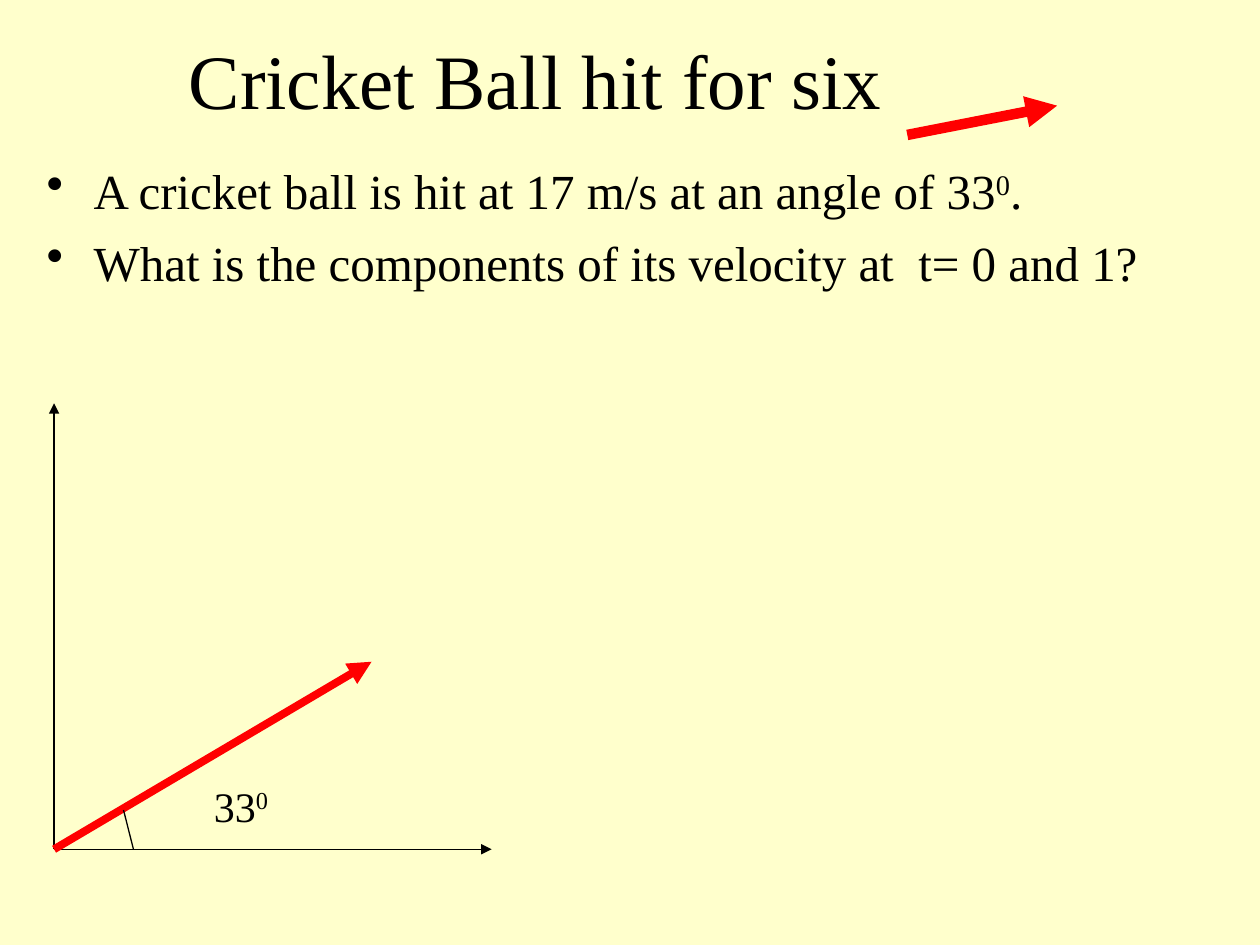
from dataclasses import dataclass

from pptx import Presentation
from pptx import util as u
from pptx.dml.color import RGBColor
from pptx.enum import shapes, text
from pptx.oxml.xmlchemy import OxmlElement


@dataclass(frozen=True)
class Theme:
    font: str = "Times New Roman"
    paper: str = "FFFFCC"
    ink: str = "000000"
    velocity: str = "FF0000"
    title: int = 44
    body: int = 28
    label: int = 24
    thin: float = 0.75
    bold: float = 4.5
    heavy: float = 6


THEME = Theme()

# A string starting with "^" is set as a superscript.
TITLE = ["Cricket Ball hit for six"]
QUESTION = [
    ["A cricket ball is hit at 17 m/s at an angle of 33", "^0", "."],
    ["What is the components of its velocity at  t= 0 and 1?"],
]
ANGLE = ["33", "^0"]

# Left, top, width, height in centimetres
TITLE_AREA = (0, 0, 21.59, 3.18)
QUESTION_AREA = (0.69, 3.12, 23.39, 4.19)
ANGLE_AREA = (4.06, 15.6, 1.6, 1.27)

ORIGIN_X, ORIGIN_Y = ORIGIN = (1.09, 17.12)
# Start, end, colour, weight, arrowhead
LINES = [
    (ORIGIN, (ORIGIN_X, 8.13), THEME.ink, THEME.thin, True),
    (ORIGIN, (9.91, ORIGIN_Y), THEME.ink, THEME.thin, True),
    (ORIGIN, (7.49, 13.34), THEME.velocity, THEME.bold, True),
    ((2.49, 16.33), (2.69, ORIGIN_Y), THEME.ink, THEME.thin, False),
    ((18.29, 2.72), (21.31, 2.13), THEME.velocity, THEME.heavy, True),
]


def cm(values):
    return [u.Cm(value) for value in values]


def add_bullet(para, indent=0.95):
    props = para._p.get_or_add_pPr()
    props.set("marL", str(u.Cm(indent)))
    props.set("indent", str(-u.Cm(indent)))
    bullet = OxmlElement("a:buChar")
    bullet.set("char", "•")
    props.append(bullet)


def write(box, paragraphs, size, align=text.PP_ALIGN.LEFT, wrap=True,
          anchor=text.MSO_ANCHOR.TOP, bullets=False, gap=0):
    frame = box.text_frame
    frame.word_wrap = wrap
    frame.vertical_anchor = anchor
    for index, pieces in enumerate(paragraphs):
        para = frame.add_paragraph() if index else frame.paragraphs[0]
        para.alignment = align
        if index:
            para.space_before = u.Pt(gap)
        if bullets:
            add_bullet(para)
        for piece in pieces:
            span = para.add_run()
            span.text = piece.removeprefix("^")
            span.font.name = THEME.font
            span.font.size = u.Pt(size)
            span.font.color.rgb = RGBColor.from_string(THEME.ink)
            if piece.startswith("^"):
                span._r.get_or_add_rPr().set("baseline", "30000")


def draw_line(page, start, end, color, weight, arrow):
    line = page.shapes.add_connector(
        shapes.MSO_CONNECTOR.STRAIGHT, *cm(start + end))
    line.line.color.rgb = RGBColor.from_string(color)
    line.line.width = u.Pt(weight)
    if arrow:
        head = OxmlElement("a:tailEnd")
        head.set("type", "triangle")
        line.line._get_or_add_ln().append(head)
    line._element.spPr.append(OxmlElement("a:effectLst"))


def main():
    deck = Presentation()
    deck.slide_width, deck.slide_height = cm((25.4, 19.05))
    page = deck.slides.add_slide(deck.slide_layouts.get_by_name("Title Only"))
    page.background.fill.solid()
    page.background.fill.fore_color.rgb = RGBColor.from_string(THEME.paper)

    title = page.shapes.title
    title.left, title.top, title.width, title.height = cm(TITLE_AREA)
    write(title, [TITLE], THEME.title, align=text.PP_ALIGN.CENTER,
          anchor=text.MSO_ANCHOR.MIDDLE)

    question = page.shapes.add_textbox(*cm(QUESTION_AREA))
    write(question, QUESTION, THEME.body, bullets=True, gap=7)

    for line in LINES:
        draw_line(page, *line)

    angle = page.shapes.add_textbox(*cm(ANGLE_AREA))
    write(angle, [ANGLE], THEME.label, wrap=False)

    deck.save("out.pptx")


if __name__ == "__main__":
    main()
